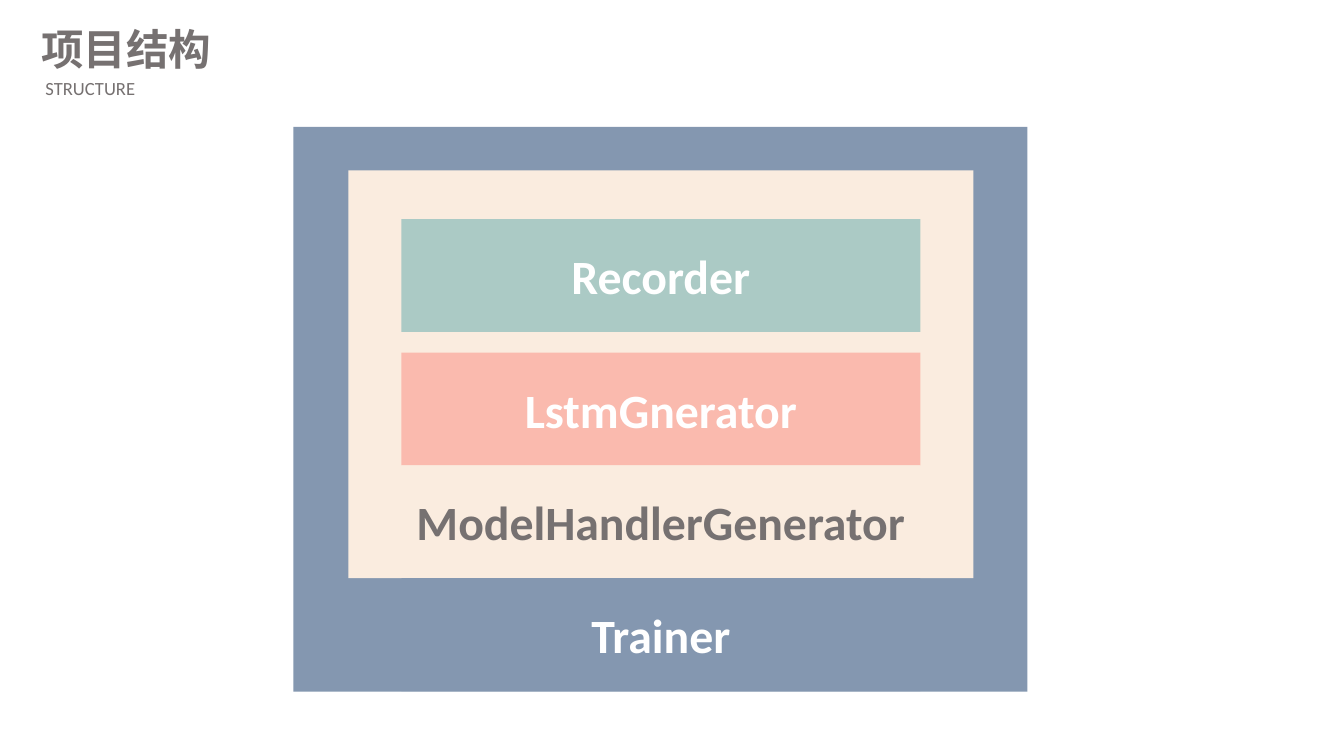
from dataclasses import dataclass

from pptx import Presentation
from pptx.dml.color import RGBColor
from pptx.enum.shapes import MSO_SHAPE
from pptx.enum.text import MSO_ANCHOR, PP_ALIGN
from pptx.slide import Slide
from pptx.util import Pt

FONT = "Calibri"
WHITE = RGBColor(0xFF, 0xFF, 0xFF)
GRAY = RGBColor(0x76, 0x71, 0x71)
BLUE = RGBColor(0x84, 0x97, 0xB0)
CREAM = RGBColor(0xFA, 0xEC, 0xDF)
PINK = RGBColor(0xFA, 0xBA, 0xAE)
GREEN = RGBColor(0xAB, 0xCA, 0xC5)

LAYER_LEFT, LAYER_WIDTH, LAYER_HEIGHT = 302.4, 391, 85


@dataclass
class Block:
    left: float
    top: float
    width: float
    height: float
    fill: RGBColor
    label: str = ""
    color: RGBColor = WHITE


@dataclass
class Heading:
    text: str
    top: float
    width: float
    height: float
    size: float
    bold: bool = False
    indent: float = 0


def layer(top: float, fill: RGBColor, label: str, color: RGBColor = WHITE) -> Block:
    return Block(LAYER_LEFT, top, LAYER_WIDTH, LAYER_HEIGHT, fill, label, color)


BLOCKS = [
    # Nested frames
    Block(221, 95.7, 553, 425.3, BLUE),
    Block(262.5, 128.3, 470.8, 307.3, CREAM),
    # Labelled layers
    layer(165, GREEN, "Recorder"),
    layer(265.6, PINK, "LstmGnerator"),
    layer(350.6, CREAM, "ModelHandlerGenerator", GRAY),
    layer(435.6, BLUE, "Trainer"),
]

HEADINGS = [
    Heading("项目结构", 17.3, 311, 39, 32, bold=True),
    Heading("STRUCTURE", 57.6, 221, 17.3, 14, indent=3.2),
]


def draw_block(page: Slide, block: Block) -> None:
    box = page.shapes.add_shape(MSO_SHAPE.RECTANGLE, Pt(block.left), Pt(block.top),
                                Pt(block.width), Pt(block.height))
    box.shadow.inherit = False
    box.fill.solid()
    box.fill.fore_color.rgb = block.fill
    box.line.fill.background()
    if block.label:
        frame = box.text_frame
        frame.word_wrap = True
        frame.vertical_anchor = MSO_ANCHOR.MIDDLE
        para = frame.paragraphs[0]
        para.text = block.label
        para.alignment = PP_ALIGN.CENTER
        para.font.name = FONT
        para.font.size = Pt(36)
        para.font.bold = True
        para.font.color.rgb = block.color


def draw_heading(page: Slide, heading: Heading) -> None:
    box = page.shapes.add_textbox(Pt(31), Pt(heading.top),
                                  Pt(heading.width), Pt(heading.height))
    frame = box.text_frame
    frame.word_wrap = True
    frame.vertical_anchor = MSO_ANCHOR.MIDDLE
    frame.margin_left = Pt(heading.indent)
    frame.margin_right = frame.margin_top = frame.margin_bottom = 0
    para = frame.paragraphs[0]
    para.text = heading.text
    para.font.name = FONT
    para.font.size = Pt(heading.size)
    para.font.bold = heading.bold
    para.font.color.rgb = GRAY


def main() -> None:
    deck = Presentation()
    deck.slide_width, deck.slide_height = Pt(1012.5), Pt(569.5)
    page = deck.slides.add_slide(deck.slide_layouts[6])
    for block in BLOCKS:
        draw_block(page, block)
    for heading in HEADINGS:
        draw_heading(page, heading)
    deck.save("out.pptx")


if __name__ == "__main__":
    main()
